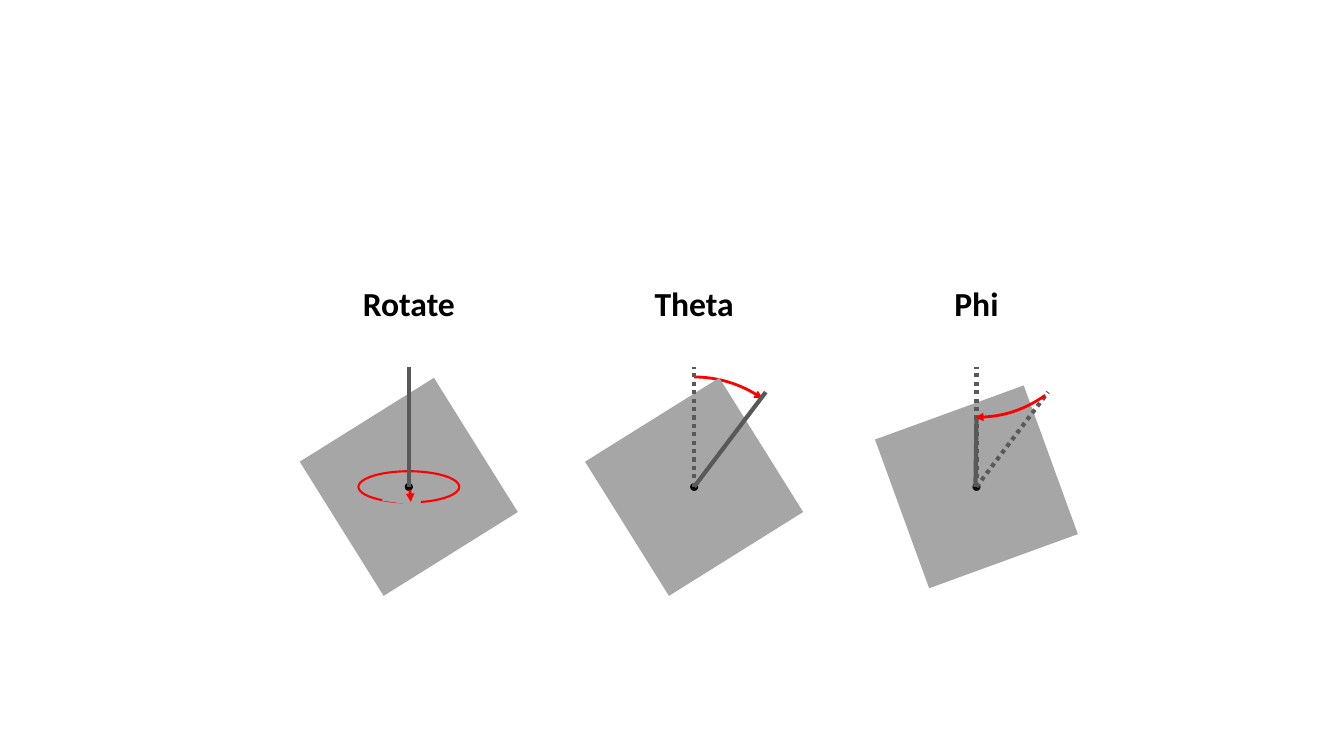
from lxml import etree
from pptx import Presentation
from pptx import util as u
from pptx.dml.color import RGBColor
from pptx.enum import dml, shapes, text
from pptx.oxml import ns

BLACK = RGBColor(0x00, 0x00, 0x00)
PLATE_GREY = RGBColor(0xA6, 0xA6, 0xA6)
ROD_GREY = RGBColor(0x59, 0x59, 0x59)
RED = RGBColor(0xFF, 0x00, 0x00)

PANEL_W, PANEL_TOP, TITLE_H = 2.11, 2.76, 0.5
PIVOT_DROP = 2.07            # from the panel's top to the pivot
PLATE, DOT = 1.57, 0.08
ARC_R = 1.18
UPRIGHT = (0, -1.19)         # rod tips, relative to the pivot
LEANING = (0.71, -0.94)


def add_element(parent, tag, **attributes):
    etree.SubElement(parent, ns.qn(tag), **attributes)


def set_line(item, color, width, dotted=False, arrow=False):
    item.line.color.rgb = color
    item.line.width = u.Pt(width)
    if dotted:
        item.line.dash_style = dml.MSO_LINE.ROUND_DOT
    if arrow:
        add_element(item.line._get_or_add_ln(), "a:tailEnd", type="triangle")


def add_centred(group, kind, center, width, height, fill=None, turn=0):
    """Add a preset shape around a centre, without line or shadow."""
    x, y = center
    item = group.shapes.add_shape(kind, u.Inches(x - width / 2), u.Inches(y - height / 2),
                                  u.Inches(width), u.Inches(height))
    item.shadow.inherit = False
    item.rotation = turn
    item.line.fill.background()
    if fill is None:
        item.fill.background()
    else:
        item.fill.solid()
        item.fill.fore_color.rgb = fill
    return item


def add_line(group, pivot, start, end, color=ROD_GREY, width=3, **style):
    """Add a straight line between two offsets from the pivot."""
    x, y = pivot
    ends = (x + start[0], y + start[1], x + end[0], y + end[1])
    line = group.shapes.add_connector(shapes.MSO_CONNECTOR.STRAIGHT, *map(u.Inches, ends))
    set_line(line, color, width, **style)
    add_element(line._element.spPr, "a:effectLst")


def add_swing(group, center, start, end):
    """Add a red arc with an arrowhead; angles in degrees, clockwise from the right."""
    arc = add_centred(group, shapes.MSO_SHAPE.ARC, center, 2 * ARC_R, 2 * ARC_R)
    for index, angle in enumerate((start, end)):
        arc.adjustments[index] = angle * 0.6  # 60000ths of a degree over 100000
    set_line(arc, RED, 2, arrow=True)


def add_plate(group, pivot, turn):
    add_centred(group, shapes.MSO_SHAPE.RECTANGLE, pivot, PLATE, PLATE, PLATE_GREY, turn)
    add_centred(group, shapes.MSO_SHAPE.OVAL, pivot, DOT, DOT, BLACK)


def draw_rotate(group, pivot):
    x, y = pivot
    add_plate(group, pivot, -32)
    ring = add_centred(group, shapes.MSO_SHAPE.OVAL, pivot, 1, 0.31)
    set_line(ring, RED, 1.5)
    add_centred(group, shapes.MSO_SHAPE.RECTANGLE, (x - 0.07, y + 0.13), 0.38, 0.07,
                PLATE_GREY, 8)
    add_line(group, pivot, (0.01, 0.03), (0.02, 0.15), RED, 2, arrow=True)
    add_line(group, pivot, (0, 0), UPRIGHT)


def draw_theta(group, pivot):
    x, y = pivot
    add_swing(group, (x, y + 0.09), 270, 305.22)
    add_plate(group, pivot, -32)
    add_line(group, pivot, (0, 0), UPRIGHT, dotted=True)
    add_line(group, pivot, (0, 0), LEANING)


def draw_phi(group, pivot):
    x, y = pivot
    add_plate(group, pivot, -20)
    for tip in (UPRIGHT, LEANING):
        add_line(group, pivot, (0, 0), tip, dotted=True)
    add_line(group, pivot, (-0.01, 0), (0, -0.68))
    add_swing(group, (x, y - 1.87), 54.67, 90.66)


def add_text(page, words, left, top, width, height, size=24, bold=True, color=BLACK):
    box = page.shapes.add_textbox(*map(u.Inches, (left, top, width, height)))
    box.text_frame.word_wrap = True
    para = box.text_frame.paragraphs[0]
    para.alignment = text.PP_ALIGN.CENTER
    span = para.add_run()
    span.text = words
    span.font.name = "Calibri"
    span.font.size = u.Pt(size)
    span.font.bold = bold
    span.font.color.rgb = color


def add_panel(page, title, left, draw):
    draw(page.shapes.add_group_shape(), (left + PANEL_W / 2, PANEL_TOP + PIVOT_DROP))
    add_text(page, title, left, PANEL_TOP, PANEL_W, TITLE_H)


def main():
    deck = Presentation()
    deck.slide_width, deck.slide_height = u.Inches(13.33), u.Inches(7.5)
    page = deck.slides.add_slide(deck.slide_layouts[6])
    for title, left, draw in (("Rotate", 3, draw_rotate),
                              ("Theta", 5.83, draw_theta),
                              ("Phi", 8.63, draw_phi)):
        add_panel(page, title, left, draw)
    deck.save("out.pptx")


if __name__ == "__main__":
    main()
